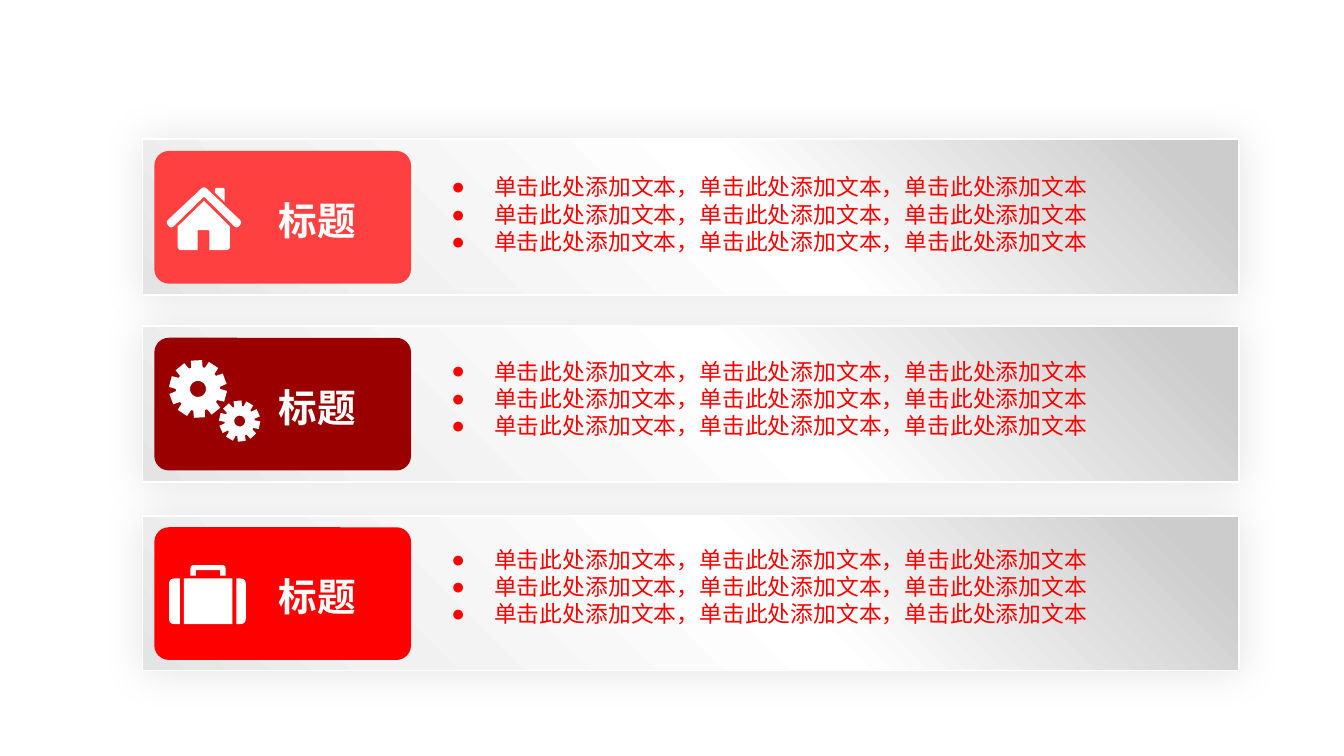
import math

import lxml.etree
import pptx
import pptx.dml.color
import pptx.enum.shapes
import pptx.enum.text
import pptx.oxml.ns
import pptx.util

Pt = pptx.util.Pt
RGBColor = pptx.dml.color.RGBColor
qn = pptx.oxml.ns.qn
ROUNDED = pptx.enum.shapes.MSO_SHAPE.ROUNDED_RECTANGLE
ALIGN = pptx.enum.text.PP_ALIGN

WHITE = RGBColor(0xFF, 0xFF, 0xFF)
BLACK = RGBColor(0x00, 0x00, 0x00)
CORAL = RGBColor(0xFF, 0x40, 0x40)
MAROON = RGBColor(0x9A, 0x00, 0x00)
RED = RGBColor(0xFF, 0x00, 0x00)
BAR_STOPS = [
    (6, RGBColor(0xCC, 0xCC, 0xCC)),
    (43, WHITE),
    (80, RGBColor(0xF1, 0xF1, 0xF1)),
    (100, RGBColor(0xE4, 0xE4, 0xE4)),
]

BAR_LEFT, CARD_LEFT, TITLE_LEFT, BULLETS_LEFT = 76.4, 82.7, 128.9, 234.7
TITLE_DROP = 20.9
BULLET_TEXT = "，".join(["单击此处添加文本"] * 3)


def rounded(corners, steps=5):
    """Return an outline; a corner (x, y, radius) becomes a sampled curve."""
    outline = []
    for index, (x, y, *radius) in enumerate(corners):
        if not radius:
            outline.append((x, y))
            continue
        ends = []
        for near in (corners[index - 1], corners[(index + 1) % len(corners)]):
            share = radius[0] / math.dist((x, y), near[:2])
            ends.append((x + (near[0] - x) * share, y + (near[1] - y) * share))
        (x0, y0), (x1, y1) = ends
        for step in range(steps + 1):
            t = step / steps
            a, b, c = (1 - t) ** 2, 2 * t * (1 - t), t * t
            outline.append((a * x0 + b * x + c * x1, a * y0 + b * y + c * y1))
    return outline


def gear(center_x, center_y, tip, root, hole, phase, teeth=10):
    """Return the toothed rim and the hole, the first tooth at phase degrees."""
    def at(radius, degrees):
        angle = math.radians(degrees)
        return center_x + radius * math.cos(angle), center_y + radius * math.sin(angle)

    rim = []
    for tooth in range(teeth):
        middle = phase + tooth * 360 / teeth
        rim += [at(root, middle - 15), at(tip, middle - 11),
                at(tip, middle + 11), at(root, middle + 15)]
    return [rim, [at(hole, -degrees) for degrees in range(0, 360, 15)]]


# Icon outlines, measured from the card's top left corner
HOUSE = [
    rounded([(32.4, 22.3), (32.4, 19.8, 1.2), (37.7, 19.8, 1.2), (37.7, 27.4)]),
    rounded([(26.6, 18.8, 2), (47.2, 38.2, 2), (44.2, 41.7, 2),
             (26.6, 24.5), (9, 41.7, 2), (6, 38.2, 2)]),
    rounded([(26.6, 26.8), (40.5, 40.5), (40.5, 53.2, 2.2), (29.5, 53.2),
             (29.5, 42.5, 0.6), (23.2, 42.5, 0.6), (23.2, 53.2),
             (12.5, 53.2, 2.2), (12.5, 40.5)]),
]
GEARS = [gear(23.4, 27.4, 15.6, 11.9, 4.3, -21), gear(45.7, 44.6, 11.1, 8.1, 2.9, 12)]
SUITCASE = [
    rounded([(19.4, 25.9), (19.4, 20.2, 2), (38.2, 20.2, 2), (38.2, 25.9),
             (35.3, 25.9), (35.3, 23), (22.3, 23), (22.3, 25.9)]),
    rounded([(7.9, 27.4, 2.9), (13.7, 27.4), (13.7, 51.8), (7.9, 51.8, 2.9)]),
    [(15.8, 27.4), (41.8, 27.4), (41.8, 51.8), (15.8, 51.8)],
    rounded([(43.9, 27.4), (49, 27.4, 2.9), (49, 51.8, 2.9), (43.9, 51.8)]),
]

# Bar top, bar height, card top, bullets top, card colour, icon shapes
ROWS = [
    (74.5, 83.5, 80.9, 89.3, CORAL, [HOUSE]),
    (174.9, 83.5, 181.0, 187.9, MAROON, GEARS),
    (276.4, 82.8, 282.5, 288.7, RED, [SUITCASE]),
]


class Deck:
    FONT = "Noto Sans CJK SC"
    TITLE_SIZE = 20.7
    BULLET_SIZE = 12.2
    BULLET_INDENT = 23

    def __init__(self):
        self.presentation = pptx.Presentation()
        self.presentation.slide_width = Pt(720)
        self.presentation.slide_height = Pt(405)
        self.slide = self.presentation.slides.add_slide(self.presentation.slide_layouts[6])

    def add_rounded(self, shapes, left, top, width, height, radius):
        shape = shapes.add_shape(ROUNDED, Pt(left), Pt(top), Pt(width), Pt(height))
        shape.adjustments[0] = radius
        shape.shadow.inherit = False
        return shape

    def add_color(self, parent, color):
        return lxml.etree.SubElement(parent, qn("a:srgbClr"), val=str(color))

    def bar(self, top, height):
        shape = self.add_rounded(self.slide.shapes, BAR_LEFT, top, 587.5, height, 0)
        shape.line.color.rgb = WHITE
        shape.line.width = Pt(1)
        shape.fill.gradient()
        shape.fill.gradient_angle = 225
        stops = shape.element.spPr.find(".//" + qn("a:gsLst"))
        for stop in list(stops):
            stops.remove(stop)
        for position, color in BAR_STOPS:
            stop = lxml.etree.SubElement(stops, qn("a:gs"), pos=str(position * 1000))
            self.add_color(stop, color)
        shadow = lxml.etree.SubElement(
            shape.element.spPr.find(qn("a:effectLst")), qn("a:outerShdw"),
            blurRad=str(Pt(22)), dist="0", dir="0", algn="ctr", rotWithShape="0")
        lxml.etree.SubElement(self.add_color(shadow, BLACK), qn("a:alpha"), val="11000")

    def card(self, shapes, top, color):
        shape = self.add_rounded(shapes, CARD_LEFT, top, 137.5, 71.1, 0.11)
        shape.fill.solid()
        shape.fill.fore_color.rgb = color
        shape.line.fill.background()

    def icon(self, shapes, top, outlines):
        builder = None
        for outline in outlines:
            points = [(Pt(CARD_LEFT + x), Pt(top + y)) for x, y in outline]
            if builder is None:
                builder = shapes.build_freeform(*points[0])
            else:
                builder.move_to(*points[0])
            builder.add_line_segments(points[1:], close=True)
        shape = builder.convert_to_shape()
        shape.shadow.inherit = False
        shape.fill.solid()
        shape.fill.fore_color.rgb = WHITE
        shape.line.fill.background()

    def text(self, shapes, left, top, width, height, lines, size, color, bold=False):
        box = shapes.add_textbox(Pt(left), Pt(top), Pt(width), Pt(height))
        frame = box.text_frame
        frame.word_wrap = True
        frame.auto_size = pptx.enum.text.MSO_AUTO_SIZE.SHAPE_TO_FIT_TEXT
        for index, line in enumerate(lines):
            paragraph = frame.add_paragraph() if index else frame.paragraphs[0]
            run = paragraph.add_run()
            run.text = line
            run.font.size = Pt(size)
            run.font.bold = bold
            run.font.color.rgb = color
            run.font.name = self.FONT
            lxml.etree.SubElement(run.font._element, qn("a:ea"), typeface=self.FONT)
        return frame.paragraphs

    def title(self, shapes, top, line):
        paragraphs = self.text(shapes, TITLE_LEFT, top, 82.1, 37.4, [line],
                               self.TITLE_SIZE, WHITE, bold=True)
        paragraphs[0].alignment = ALIGN.CENTER

    def bullets(self, top, lines):
        for paragraph in self.text(self.slide.shapes, BULLETS_LEFT, top, 385.9, 60.5,
                                   lines, self.BULLET_SIZE, RED):
            properties = paragraph._p.get_or_add_pPr()
            properties.set("marL", str(Pt(self.BULLET_INDENT)))
            properties.set("indent", str(-Pt(self.BULLET_INDENT)))
            lxml.etree.SubElement(properties, qn("a:buFont"), typeface="Arial")
            lxml.etree.SubElement(properties, qn("a:buChar"), char="●")


def main():
    deck = Deck()
    for bar_top, bar_height, card_top, bullets_top, color, icons in ROWS:
        # Background bar
        deck.bar(bar_top, bar_height)
        # Coloured card with icon and title
        group = deck.slide.shapes.add_group_shape()
        deck.card(group.shapes, card_top, color)
        for outlines in icons:
            deck.icon(group.shapes, card_top, outlines)
        deck.title(group.shapes, card_top + TITLE_DROP, "标题")
        # Bulleted text
        deck.bullets(bullets_top, [BULLET_TEXT] * 3)
    deck.presentation.save("out.pptx")


if __name__ == "__main__":
    main()
